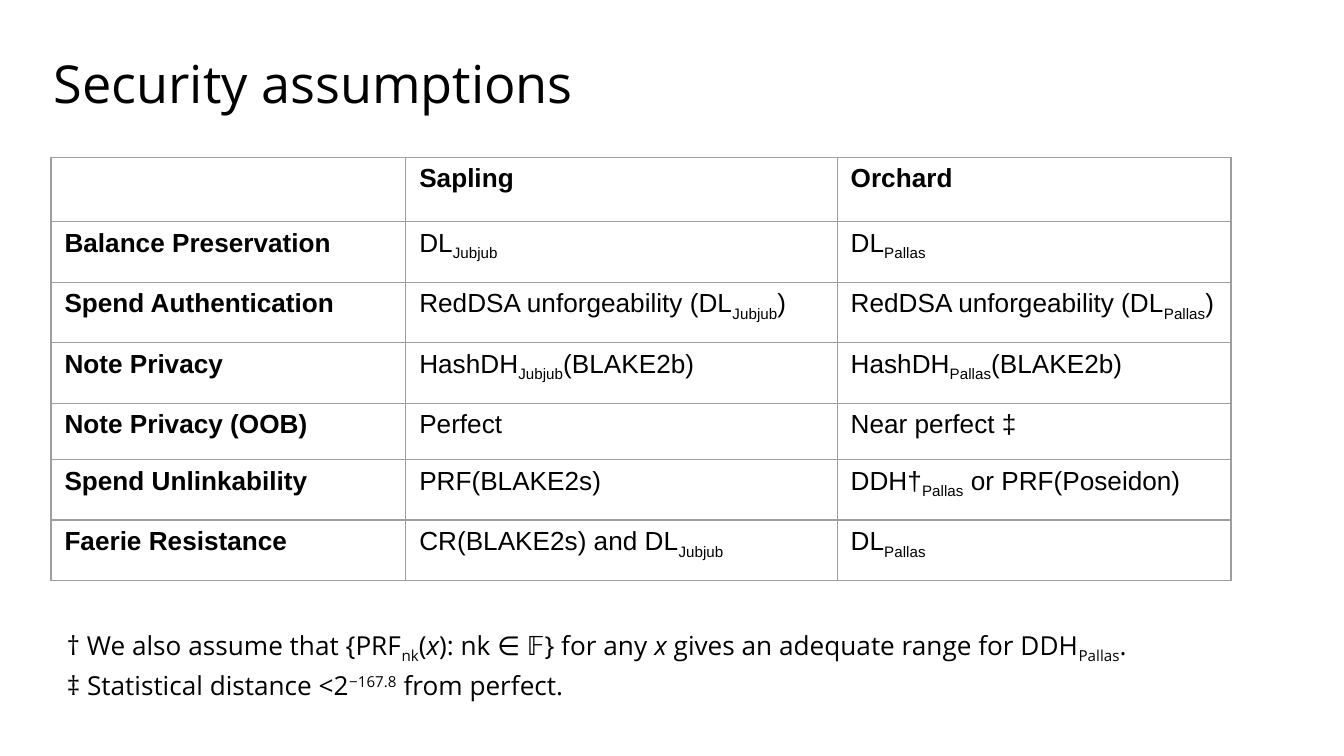
"""Build the slide that compares the security assumptions of two protocols."""
from lxml.etree import SubElement
from pptx import Presentation
from pptx.dml.color import RGBColor
from pptx.enum.text import MSO_ANCHOR, MSO_AUTO_SIZE, PP_ALIGN
from pptx.oxml.ns import qn
from pptx.util import Inches, Pt

COLORS = {"text": "000000", "border": "9E9E9E"}
BASELINES = {"_": "-25000", "^": "30000"}
COLUMNS = [2.64, 3.21, 2.93]
ROW_HEIGHTS = [0.48, 0.45, 0.45, 0.45, 0.42, 0.45, 0.45]
ROWS = [
    ("", "Sapling", "Orchard"),
    ("Balance Preservation", "DL|_Jubjub", "DL|_Pallas"),
    ("Spend Authentication", "RedDSA unforgeability (DL|_Jubjub|)",
     "RedDSA unforgeability (DL|_Pallas|)"),
    ("Note Privacy", "HashDH|_Jubjub|(BLAKE2b)", "HashDH|_Pallas|(BLAKE2b)"),
    ("Note Privacy (OOB)", "Perfect", "Near perfect ‡"),
    ("Spend Unlinkability", "PRF(BLAKE2s)", "DDH†|_Pallas| or PRF(Poseidon)"),
    ("Faerie Resistance", "CR(BLAKE2s) and DL|_Jubjub", "DL|_Pallas"),
]
FOOTNOTES = [
    "† We also assume that {PRF|_nk|(|/x|): nk ∈ 𝔽} for any |/x"
    "| gives an adequate range for DDH|_Pallas|.",
    "‡ Statistical distance <2|^−167.8| from perfect.",
]


def write(p, text, size=14, font="Open Sans", bold=False):
    """Fill a paragraph; pieces between bars start with _ (sub), ^ (super) or / (italic)."""
    p.alignment = PP_ALIGN.LEFT
    p.font.size, p.font.name, p.font.bold = Pt(size), font, bold
    p.font.color.rgb = RGBColor.from_string(COLORS["text"])
    for piece in text.split("|"):
        mark = piece[:1]
        r = p.add_run()
        r.text = piece[1:] if mark in ("_", "^", "/") else piece
        if mark == "/":
            r.font.italic = True
        elif mark in BASELINES:
            r.font._element.set("baseline", BASELINES[mark])


def add_title(s, text):
    """Place and fill the title placeholder."""
    sp = s.shapes.title
    sp.left, sp.top, sp.width, sp.height = map(Inches, (0.4, 0.38, 9.16, 0.63))
    tf = sp.text_frame
    tf.margin_left = tf.margin_right = tf.margin_top = tf.margin_bottom = 0
    tf.vertical_anchor = MSO_ANCHOR.TOP
    tf.auto_size = MSO_AUTO_SIZE.NONE
    write(tf.paragraphs[0], text, size=28)


def outline_cell(cell):
    """Draw a thin border on all four sides of a cell and leave it unfilled."""
    tc_pr = cell._tc.get_or_add_tcPr()
    for side in "LRTB":
        ln = SubElement(tc_pr, qn(f"a:ln{side}"), w=str(Pt(0.75)))
        fill = SubElement(ln, qn("a:solidFill"))
        SubElement(fill, qn("a:srgbClr"), val=COLORS["border"])
    cell.fill.background()


def add_comparison(s):
    """Add the table, with bold labels in its first row and column."""
    frame = s.shapes.add_table(
        len(ROWS), len(COLUMNS), Inches(0.38), Inches(1.17),
        Inches(sum(COLUMNS)), Inches(sum(ROW_HEIGHTS)))
    table = frame.table
    table.first_row = table.horz_banding = False
    for column, width in zip(table.columns, COLUMNS):
        column.width = Inches(width)
    for i, (row, height) in enumerate(zip(table.rows, ROW_HEIGHTS)):
        row.height = Inches(height)
        for j, text in enumerate(ROWS[i]):
            cell = table.cell(i, j)
            outline_cell(cell)
            if text:
                write(cell.text_frame.paragraphs[0], text, font="Arial",
                      bold=i == 0 or j == 0)


def add_footnotes(s):
    """Add the footnotes below the table."""
    sp = s.shapes.add_textbox(*map(Inches, (0.4, 4.54, 8.62, 0.77)))
    tf = sp.text_frame
    tf.word_wrap = True
    tf.auto_size = MSO_AUTO_SIZE.SHAPE_TO_FIT_TEXT
    tf.margin_left = tf.margin_right = tf.margin_top = tf.margin_bottom = Inches(0.1)
    for i, note in enumerate(FOOTNOTES):
        p = tf.add_paragraph() if i else tf.paragraphs[0]
        p.line_spacing = 1.15
        write(p, note)


def main():
    """Build and save the slide in the 16:9 format."""
    prs = Presentation()
    prs.slide_width = Inches(10)
    prs.slide_height = prs.slide_width * 9 // 16
    s = prs.slides.add_slide(prs.slide_layouts[5])
    add_title(s, "Security assumptions")
    add_comparison(s)
    add_footnotes(s)
    prs.save("out.pptx")


if __name__ == "__main__":
    main()
